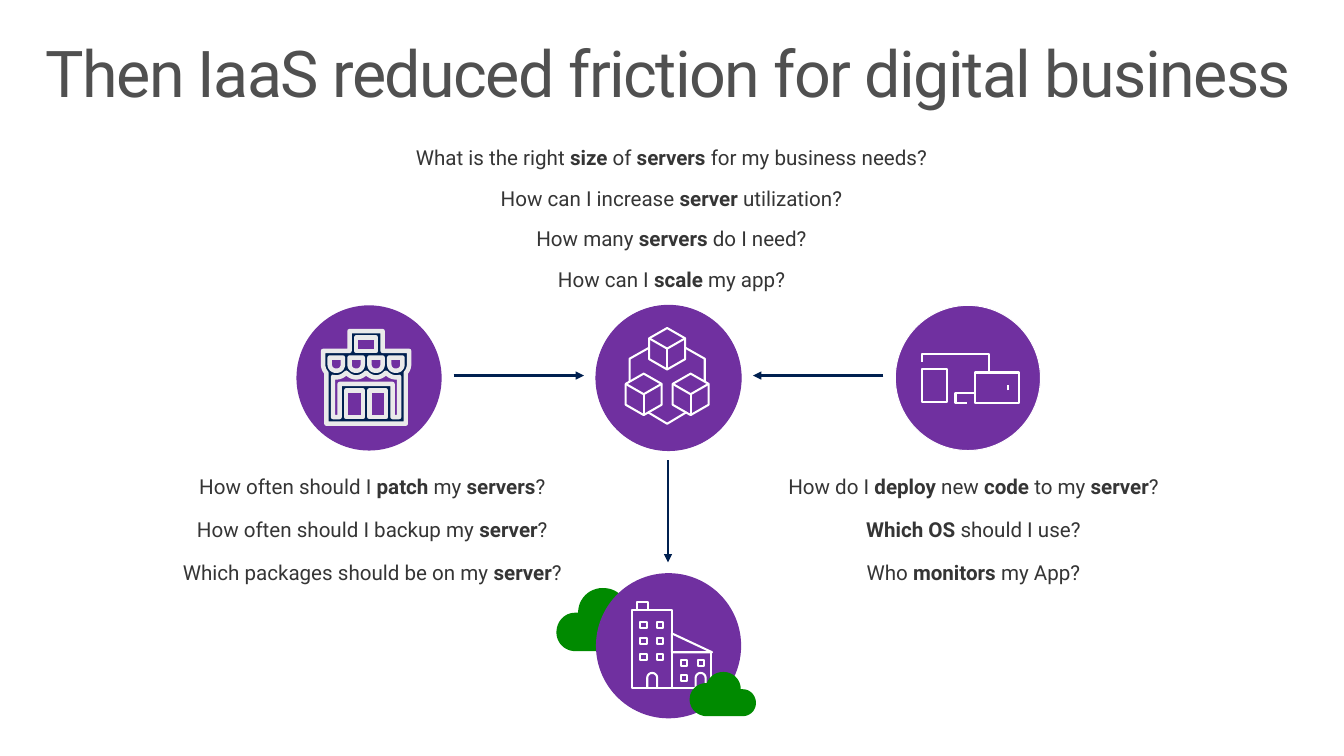
from lxml.etree import SubElement
from pptx import Presentation
from pptx.dml.color import RGBColor
from pptx.enum.shapes import MSO_CONNECTOR, MSO_SHAPE
from pptx.enum.text import MSO_ANCHOR, MSO_AUTO_SIZE, PP_ALIGN
from pptx.oxml.ns import qn
from pptx.util import Pt

COLORS = {
    "purple": "7030A0", "green": "008A00", "navy": "002050", "white": "FFFFFF",
    "pale": "EAEAEA", "title": "505050", "body": "353535",
}
DISC = 105.8

CLOUD = [
    (15.8, 18), (15.8, 7.9, 23.8, 0, 33.8, 0), (41.8, 0, 48.2, 4.3, 51.1, 11.5),
    (61.2, 11.5, 69, 18.7, 69, 28.8), (69, 38.2, 61.2, 46, 51.1, 46), (13.7, 46),
    (5.8, 46, 0, 39.6, 0, 32.4), (0, 24.5, 5.8, 18, 13.7, 18),
]
ARCH = [
    (7.2, 10.8), (7.2, 3.6), (7.2, 1.6, 5.6, 0, 3.6, 0),
    (1.6, 0, 0, 1.6, 0, 3.6), (0, 10.8),
]


def color(name):
    return RGBColor.from_string(COLORS[name])


def flatten(path, steps=12):
    points = []
    for part in path:
        if len(part) == 2:
            points.append(part)
            continue
        x0, y0 = points[-1]
        x1, y1, x2, y2, x3, y3 = part
        for step in range(1, steps + 1):
            t = step / steps
            a, b, c, d = (1 - t) ** 3, 3 * t * (1 - t) ** 2, 3 * t * t * (1 - t), t ** 3
            points.append((a * x0 + b * x1 + c * x2 + d * x3,
                           a * y0 + b * y1 + c * y2 + d * y3))
    return points


def box_path(left, top, right, bottom):
    return [(left, top), (right, top), (right, bottom), (left, bottom)]


def write_text(frame, text, size=15, fill="body", align=PP_ALIGN.CENTER,
               line_spacing=None, tracking=None):
    paragraph = frame.paragraphs[0]
    paragraph.alignment = align
    if line_spacing:
        paragraph.line_spacing = line_spacing
    for index, piece in enumerate(text.split("**")):
        if not piece:
            continue
        run = paragraph.add_run()
        run.text = piece
        run.font.name = "Roboto"
        run.font.size = Pt(size)
        run.font.bold = index % 2 == 1
        run.font.color.rgb = color(fill)
        if tracking:
            run._r.get_or_add_rPr().set("spc", str(tracking))


class SlideCanvas:
    def __init__(self, slide):
        self.slide = slide
        self.shapes = slide.shapes

    def start_group(self):
        self.shapes = self.slide.shapes.add_group_shape().shapes

    def end_group(self):
        self.shapes = self.slide.shapes

    def style(self, shape, fill, line, weight):
        shape.shadow.inherit = False
        if fill:
            shape.fill.solid()
            shape.fill.fore_color.rgb = color(fill)
        else:
            shape.fill.background()
        if line:
            shape.line.color.rgb = color(line)
            shape.line.width = Pt(weight)
        else:
            shape.line.fill.background()

    def preset(self, kind, left, top, width, height, fill=None, line="white", weight=1.5):
        shape = self.shapes.add_shape(kind, Pt(left), Pt(top), Pt(width), Pt(height))
        self.style(shape, fill, line, weight)
        return shape

    def rectangle(self, left, top, width, height):
        self.preset(MSO_SHAPE.RECTANGLE, left, top, width, height)

    def disc(self, left, top, line=None):
        self.preset(MSO_SHAPE.OVAL, left, top, DISC, DISC, "purple", line, 0.75)

    def outline(self, paths, left=0, top=0, scale_x=1, scale_y=1, closed=False,
                fill=None, line="white", weight=1.5):
        builder = None
        for path in paths:
            points = [(Pt(left + x * scale_x), Pt(top + y * scale_y))
                      for x, y in flatten(path)]
            if builder is None:
                builder = self.shapes.build_freeform(*points[0], scale=1.0)
            else:
                builder.move_to(*points[0])
            builder.add_line_segments(points[1:], close=closed)
        self.style(builder.convert_to_shape(), fill, line, weight)

    def line(self, x1, y1, x2, y2, fill="white", weight=1.5, arrow=False):
        connector = self.shapes.add_connector(
            MSO_CONNECTOR.STRAIGHT, Pt(x1), Pt(y1), Pt(x2), Pt(y2))
        connector.line.color.rgb = color(fill)
        connector.line.width = Pt(weight)
        if arrow:
            SubElement(connector.line._get_or_add_ln(), qn("a:tailEnd"), type="triangle")
        SubElement(connector._element.spPr, qn("a:effectLst"))

    def text(self, text, left, top, width, height, inset=(7.2, 3.6), grow=True, **format):
        frame = self.shapes.add_textbox(Pt(left), Pt(top), Pt(width), Pt(height)).text_frame
        frame.word_wrap = True
        frame.vertical_anchor = MSO_ANCHOR.TOP
        frame.auto_size = MSO_AUTO_SIZE.SHAPE_TO_FIT_TEXT if grow else MSO_AUTO_SIZE.NONE
        frame.margin_left = frame.margin_right = Pt(inset[0])
        frame.margin_top = frame.margin_bottom = Pt(inset[1])
        write_text(frame, text, **format)

    def questions(self, center, top, step, entries):
        for row, (text, width) in enumerate(entries):
            self.text(text, center - width / 2, top + row * step, width, 25.6)

    def cube(self, center, top):
        left, right = center - 13.1, center + 13.1
        upper, lower, bottom = top + 7.5, top + 22.7, top + 30.2
        self.outline([[(left, upper), (center, top), (right, upper), (right, lower),
                       (center, bottom), (left, lower)]], closed=True, fill="purple")
        self.outline([[(right, upper), (center, top + 15), (left, upper)]])
        self.line(center, top + 15, center, bottom)


def draw_building(canvas):
    canvas.start_group()
    canvas.disc(434.2, 417.6)
    canvas.rectangle(460.8, 444.2, 28.8, 56.9)
    canvas.rectangle(464.4, 438.5, 7.9, 5.7)
    canvas.rectangle(489.6, 475.2, 28.8, 25.9)
    windows = [(466.6 + 12.2 * column, 452.9 + 11.8 * row)
               for row in range(3) for column in range(2)]
    windows += [(496.1, 481), (508.3, 481), (496.1, 491.8)]
    for left, top in windows:
        canvas.rectangle(left, top, 4.5, 4.5)
    for left in (471.6, 506.9):
        canvas.outline([ARCH], left, 490.3)
    roof = canvas.preset(MSO_SHAPE.ISOSCELES_TRIANGLE, 489.6, 461.5, 29.2, 13.7)
    roof.adjustments[0] = 0
    canvas.end_group()


def draw_cubes(canvas):
    center = 486.1
    canvas.start_group()
    canvas.disc(434.2, 222.5, "purple")
    for offset, top in ((17.1, 272.2), (-17.1, 272.2), (0, 239)):
        canvas.cube(center + offset, top)
    canvas.outline([[(center - 14, 300.4), (center, 308.8), (center + 14, 300.4)]])
    for side in (-1, 1):
        canvas.outline([[(center + side * 13.2, 253.4), (center + side * 27.4, 261.4),
                         (center + side * 27.4, 277.9)]])
    canvas.end_group()


def draw_store(canvas):
    wall = [(1, 28), (25, 28), (25, 12.6), (25.6, 12, 26, 11, 26, 10), (26, 6), (18, 6),
            (18, 0), (8, 0), (8, 6), (0, 6), (0, 10), (0, 11, 0.4, 12, 1, 12.6)]
    front = [(21, 26), (21, 16), (5, 16), (5, 26), (3, 26), (3, 13.8),
             (3.3, 14, 3.6, 14, 4, 14), (5.2, 14, 6.2, 13.4, 7, 12.6)]
    for x in (7, 13):
        front += [(x + 0.8, 13.4, x + 1.8, 14, x + 3, 14),
                  (x + 4.2, 14, x + 5.2, 13.4, x + 6, 12.6)]
    front += [(19.8, 13.4, 20.8, 14, 22, 14), (22.4, 14, 22.7, 14, 23, 13.8), (23, 26)]
    awnings = [[(x, 8), (x + 4, 8), (x + 4, 10), (x + 4, 11.2, x + 3.2, 12, x + 2, 12),
                (x + 0.8, 12, x, 11.2, x, 10)] for x in (2, 8, 14, 20)]
    panes = [box_path(7, 18, 12, 26), box_path(14, 18, 19, 26), box_path(10, 2, 16, 6)]
    canvas.start_group()
    canvas.disc(216, 222.5)
    canvas.outline([wall, front, *awnings, *panes], 235.4, 241.2, 2.41, 2.41,
                   closed=True, fill="navy", line="pale", weight=3.25)
    canvas.end_group()


def draw_devices(canvas):
    canvas.start_group()
    canvas.disc(652.3, 222.5, "white")
    canvas.rectangle(671.8, 268.6, 18, 24.5)
    canvas.rectangle(710.6, 271.4, 31.7, 22.3)
    canvas.line(734.4, 284.4, 734.4, 280.8, weight=2)
    canvas.outline([[(710.6, 286.6), (696.2, 286.6), (696.2, 293.8), (704.9, 293.8)]])
    canvas.outline([[(671.8, 263.5), (671.8, 257.8), (720.7, 257.8), (720.7, 271.4)]])
    canvas.end_group()


def main():
    presentation = Presentation()
    presentation.slide_width, presentation.slide_height = Pt(979.2), Pt(550.8)
    canvas = SlideCanvas(presentation.slides.add_slide(presentation.slide_layouts[6]))
    canvas.outline([CLOUD], 405.4, 428.4, closed=True, fill="green", line=None)
    draw_building(canvas)
    canvas.text("Then IaaS reduced friction for digital business", 21.6, 23, 936, 72,
                inset=(11.5, 7.2), grow=False, size=47, fill="title",
                align=PP_ALIGN.LEFT, line_spacing=0.9, tracking=-110)
    canvas.questions(489.2, 102.2, 29.5, [
        ("What is the right **size** of **servers** for my business needs?", 448.6),
        ("How can I increase **server** utilization?", 263.5),
        ("How many **servers** do I need?", 303.8),
        ("How can I **scale** my app?", 180.7)])
    canvas.questions(271.2, 342, 31.3, [
        ("How often should I **patch** my **servers**?", 300.2),
        ("How often should I backup my **server**?", 278.6),
        ("Which packages should be on my **server**?", 315.4)])
    canvas.questions(709.2, 342, 31.3, [
        ("How do I **deploy** new **code** to my **server**?", 389.5),
        ("**Which OS **should I use?", 199.4),
        ("Who **monitors** my App?", 329)])
    canvas.outline([CLOUD], 550.8, 489.6, -0.7, 0.7, closed=True, fill="green", line=None)
    draw_cubes(canvas)
    draw_store(canvas)
    draw_devices(canvas)
    for ends in ((330.5, 273.6, 425.5, 273.6), (643.7, 273.6, 548.6, 273.6),
                 (486.7, 335.5, 486.7, 409.7)):
        canvas.line(*ends, fill="navy", weight=2, arrow=True)
    presentation.save("out.pptx")


if __name__ == "__main__":
    main()
